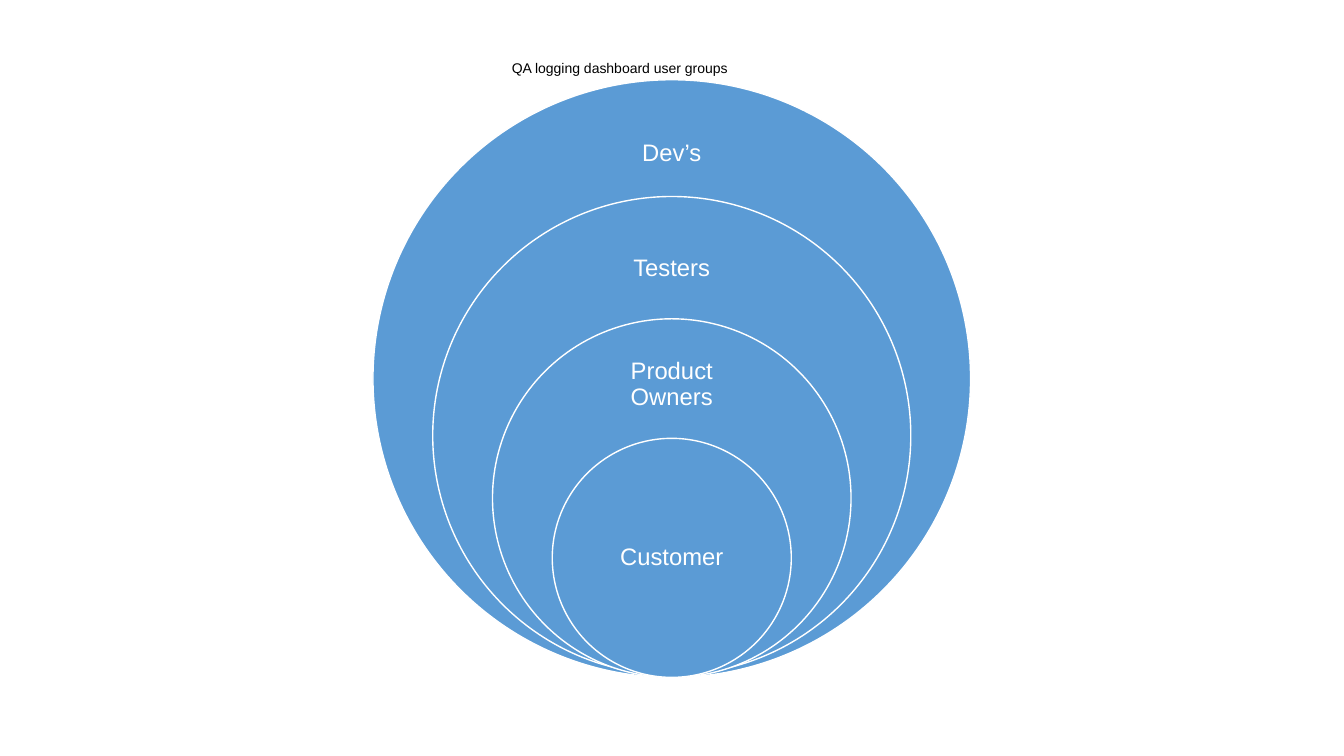
from dataclasses import dataclass

from pptx import Presentation
from pptx.dml.color import RGBColor
from pptx.enum.shapes import MSO_SHAPE
from pptx.enum.text import MSO_ANCHOR, PP_ALIGN
from pptx.shapes.autoshape import Shape
from pptx.slide import Slide
from pptx.util import Cm, Pt

FONT = "Arial"
WHITE = "FFFFFF"
BLUE = "5B9BD5"
BLACK = "000000"
CENTER_X = 16.93
OUTER_DIAMETER = 15.06
DIAMETER_STEP = 0.2
LABEL_WIDTH = 4.22
LABEL_INSET = 0.33


@dataclass(frozen=True)
class UserGroup:
    name: str
    circle_bottom: float
    label_center: float
    label_height: float


USER_GROUPS = [
    UserGroup("Dev’s", 17.07, 3.87, 2.26),
    UserGroup("Testers", 17.0, 6.77, 2.16),
    UserGroup("Product Owners", 17.07, 9.7, 2.03),
    UserGroup("Customer", 17.07, 14.06, 3.02),
]


def color(value: str) -> RGBColor:
    return RGBColor.from_string(value)


def add_text(slide: Slide, text: str, left: float, top: float, width: float,
             height: float, size: float, font_color: str, anchor: MSO_ANCHOR) -> Shape:
    shape = slide.shapes.add_textbox(Cm(left), Cm(top), Cm(width), Cm(height))
    text_frame = shape.text_frame
    text_frame.word_wrap = True
    text_frame.vertical_anchor = anchor
    text_frame.text = text
    paragraph = text_frame.paragraphs[0]
    paragraph.alignment = PP_ALIGN.CENTER
    paragraph.line_spacing = 0.9
    font = paragraph.runs[0].font
    font.name = FONT
    font.size = Pt(size)
    font.color.rgb = color(font_color)
    return shape


def add_circle(slide: Slide, diameter: float, bottom: float) -> None:
    circle = slide.shapes.add_shape(
        MSO_SHAPE.OVAL, Cm(CENTER_X - diameter / 2), Cm(bottom - diameter),
        Cm(diameter), Cm(diameter))
    circle.shadow.inherit = False
    circle.fill.solid()
    circle.fill.fore_color.rgb = color(BLUE)
    circle.line.color.rgb = color(WHITE)
    circle.line.width = Pt(1)


def add_label(slide: Slide, group: UserGroup) -> None:
    label = add_text(
        slide, group.name, CENTER_X - LABEL_WIDTH / 2,
        group.label_center - group.label_height / 2, LABEL_WIDTH,
        group.label_height, 17, WHITE, MSO_ANCHOR.MIDDLE)
    text_frame = label.text_frame
    text_frame.margin_left = text_frame.margin_right = Cm(LABEL_INSET)
    text_frame.margin_top = text_frame.margin_bottom = Cm(LABEL_INSET)
    text_frame.paragraphs[0].space_after = Pt(7.1)


def main() -> None:
    presentation = Presentation()
    presentation.slide_width = Cm(33.87)
    presentation.slide_height = Cm(19.05)
    slide = presentation.slides.add_slide(presentation.slide_layouts[6])
    add_text(slide, "QA logging dashboard user groups", 4.5, 0.33, 22.23, 1.73,
             10, BLACK, MSO_ANCHOR.BOTTOM)
    for index, group in enumerate(USER_GROUPS):
        add_circle(slide, OUTER_DIAMETER * (1 - index * DIAMETER_STEP), group.circle_bottom)
        add_label(slide, group)
    presentation.save("out.pptx")


if __name__ == "__main__":
    main()
